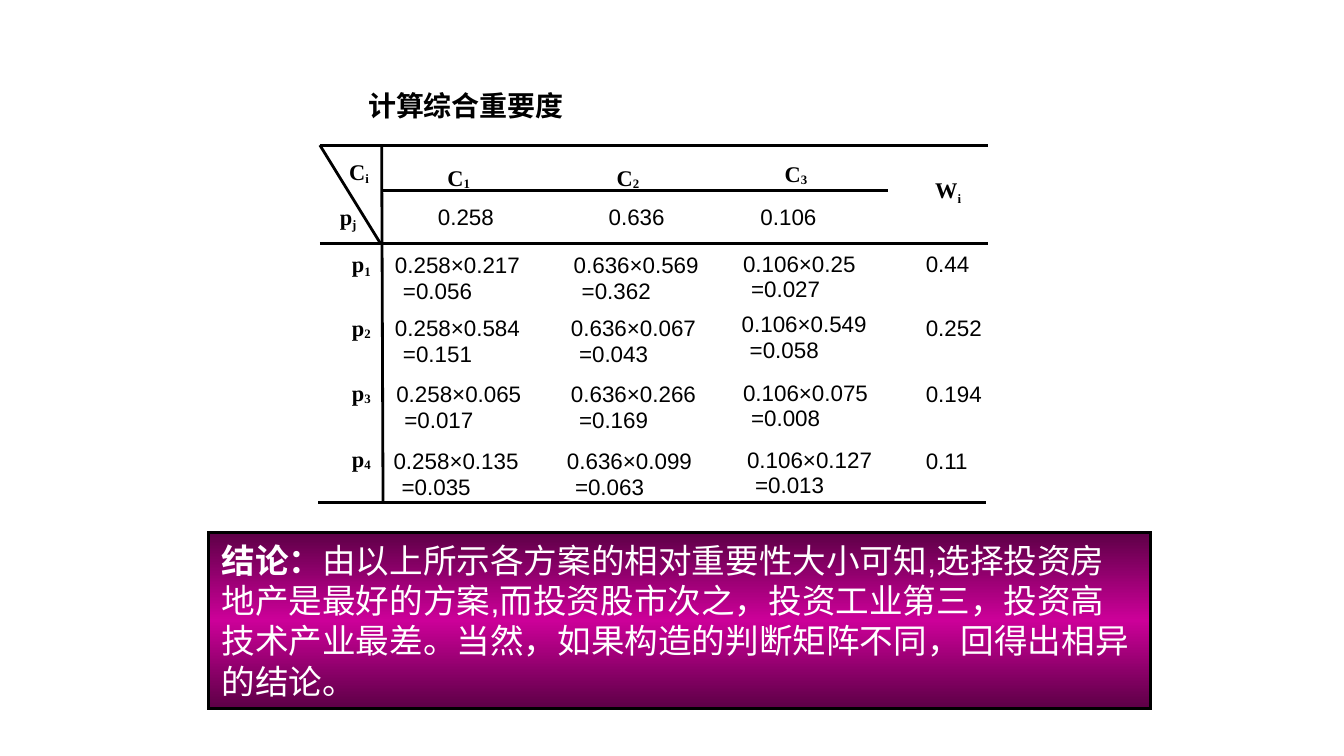
"""Build the slide with the overall-importance table and its conclusion."""
from dataclasses import dataclass

from lxml import etree
from pptx import Presentation
from pptx import util as u
from pptx.dml.color import RGBColor
from pptx.enum import shapes, text
from pptx.oxml import parse_xml
from pptx.oxml.ns import nsdecls, qn

PX = 9144
BLACK, WHITE, MAGENTA = "000000", "FFFFFF", "CC0099"
LABEL = {"name": "Times New Roman", "size": u.Pt(12), "bold": True}
VALUE = {"name": "Arial", "size": u.Pt(12), "bold": False}
TITLE = {"name": "Arial", "size": u.Pt(15), "bold": True}
BODY = {"name": "Arial", "size": u.Pt(18), "bold": False}


@dataclass
class Rule:
    x1: int
    y1: int
    x2: int
    y2: int


@dataclass
class Symbol:
    left: int
    top: int
    width: int
    letter: str
    index: str
    drop: int = 10


@dataclass
class Value:
    left: int
    top: int
    width: int
    words: str


@dataclass
class Product:
    left: int
    top: int
    factors: str
    result: str


RULES = [
    Rule(238, 108, 735, 108),
    Rule(238, 181, 735, 181),
    Rule(284, 108, 285, 374),
    Rule(284, 142, 661, 142),
    Rule(238, 108, 283, 181),
    Rule(237, 374, 734, 374),
]
SYMBOLS = [
    Symbol(250, 113, 38, "C", "i"),
    Symbol(243, 146, 33, "p", "j", 20),
    Symbol(323, 117, 38, "C", "1"),
    Symbol(449, 117, 38, "C", "2"),
    Symbol(574, 114, 41, "C", "3"),
    Symbol(686, 126, 40, "W", "i", 25),
    Symbol(252, 181, 35, "p", "1", 20),
    Symbol(252, 229, 35, "p", "2"),
    Symbol(252, 277, 35, "p", "3"),
    Symbol(252, 326, 35, "p", "4"),
]
VALUES = [
    Value(316, 146, 62, "0.258"),
    Value(443, 146, 62, "0.636"),
    Value(556, 146, 62, "0.106"),
    Value(679, 181, 53, "0.44"),
    Value(679, 229, 62, "0.252"),
    Value(679, 278, 62, "0.194"),
    Value(679, 328, 52, "0.11"),
]
PRODUCTS = [
    Product(284, 182, "0.258×0.217", "=0.056"),
    Product(284, 229, "0.258×0.584", "=0.151"),
    Product(285, 278, "0.258×0.065", "=0.017"),
    Product(283, 328, "0.258×0.135", "=0.035"),
    Product(417, 182, "0.636×0.569", "=0.362"),
    Product(415, 229, "0.636×0.067", "=0.043"),
    Product(415, 278, "0.636×0.266", "=0.169"),
    Product(412, 328, "0.636×0.099", "=0.063"),
    Product(543, 181, "0.106×0.25", "=0.027"),
    Product(542, 226, "0.106×0.549", "=0.058"),
    Product(543, 277, "0.106×0.075", "=0.008"),
    Product(546, 327, "0.106×0.127", "=0.013"),
]
CONCLUSION = (
    "由以上所示各方案的相对重要性大小可知,选择投资房地产是最好的方案,"
    "而投资股市次之，投资工业第三，投资高技术产业最差。"
    "当然，如果构造的判断矩阵不同，回得出相异的结论。"
)


def paint(target, colour: str) -> None:
    """Set a colour format from a hex string."""
    target.rgb = RGBColor.from_string(colour)


def stroke(shape) -> None:
    """Give a shape the black table stroke with sharp corners."""
    shape.line.width = u.Pt(1.5)
    shape.line.fill.solid()
    paint(shape.line.color, BLACK)
    outline = shape._element.spPr.find(qn("a:ln"))
    etree.SubElement(outline, qn("a:miter")).set("lim", "800000")


def write(paragraph, words: str, style: dict, colour: str = BLACK, drop: int = 0) -> None:
    """Add a styled run, lowered by a percentage when it is an index."""
    run = paragraph.add_run()
    run.text = words
    for attribute, setting in style.items():
        setattr(run.font, attribute, setting)
    paint(run.font.color, colour)
    if drop:
        run._r.get_or_add_rPr().set("baseline", str(-1000 * drop))


def add_box(slide, left: int, top: int, width: int, height: int = 30, wrap: bool = False):
    """Add a text box and return its first paragraph."""
    box = slide.shapes.add_textbox(left * PX, top * PX, width * PX, height * PX)
    frame = box.text_frame
    frame.word_wrap = wrap
    frame.auto_size = text.MSO_AUTO_SIZE.SHAPE_TO_FIT_TEXT
    return frame.paragraphs[0]


def draw_rule(slide, rule: Rule) -> None:
    """Draw one table line."""
    ends = [n * PX for n in (rule.x1, rule.y1, rule.x2, rule.y2)]
    connector = slide.shapes.add_connector(shapes.MSO_CONNECTOR.STRAIGHT, *ends)
    stroke(connector)
    etree.SubElement(connector._element.spPr, qn("a:effectLst"))


def draw_symbol(slide, symbol: Symbol) -> None:
    """Draw a letter with its index."""
    paragraph = add_box(slide, symbol.left, symbol.top, symbol.width)
    write(paragraph, symbol.letter, LABEL)
    write(paragraph, symbol.index, LABEL, drop=symbol.drop)


def draw_value(slide, value: Value, style: dict) -> None:
    """Draw a single line of text."""
    write(add_box(slide, value.left, value.top, value.width), value.words, style)


def draw_product(slide, product: Product) -> None:
    """Draw the factors with the result below them."""
    factors = add_box(slide, product.left, product.top, 115, 51, wrap=True)
    write(factors, product.factors, VALUE)
    draw_value(slide, Value(product.left + 6, product.top + 19, 72, product.result), VALUE)


def gradient():
    """Return a vertical fill that is dark at both edges."""
    dark = '<a:gamma/><a:shade val="46000"/><a:invGamma/>'
    stops = "".join(
        f'<a:gs pos="{place * 1000}"><a:srgbClr val="{MAGENTA}">{shade}</a:srgbClr></a:gs>'
        for place, shade in ((0, dark), (50, ""), (100, dark))
    )
    return parse_xml(
        f'<a:gradFill {nsdecls("a")} rotWithShape="1"><a:gsLst>{stops}</a:gsLst>'
        '<a:lin ang="5400000" scaled="1"/></a:gradFill>'
    )


def draw_conclusion(slide) -> None:
    """Draw the conclusion panel."""
    bounds = [n * PX for n in (155, 396, 701, 131)]
    panel = slide.shapes.add_shape(shapes.MSO_SHAPE.RECTANGLE, *bounds)
    panel.shadow.inherit = False
    panel._element.spPr.find(qn("a:prstGeom")).addnext(gradient())
    stroke(panel)
    frame = panel.text_frame
    frame.word_wrap = True
    frame.vertical_anchor = text.MSO_ANCHOR.MIDDLE
    frame.auto_size = text.MSO_AUTO_SIZE.SHAPE_TO_FIT_TEXT
    paragraph = frame.paragraphs[0]
    paragraph.alignment = text.PP_ALIGN.LEFT
    write(paragraph, "结论：", BODY | {"bold": True}, WHITE)
    write(paragraph, CONCLUSION, BODY, WHITE)


def main() -> None:
    """Build and save the slide."""
    deck = Presentation()
    deck.slide_width = 1000 * PX
    deck.slide_height = deck.slide_width * 9 // 16
    slide = deck.slides.add_slide(deck.slide_layouts[6])
    draw_value(slide, Value(264, 61, 167, "计算综合重要度"), TITLE)
    for rule in RULES:
        draw_rule(slide, rule)
    for symbol in SYMBOLS:
        draw_symbol(slide, symbol)
    for value in VALUES:
        draw_value(slide, value, VALUE)
    for product in PRODUCTS:
        draw_product(slide, product)
    draw_conclusion(slide)
    deck.save("out.pptx")


if __name__ == "__main__":
    main()
